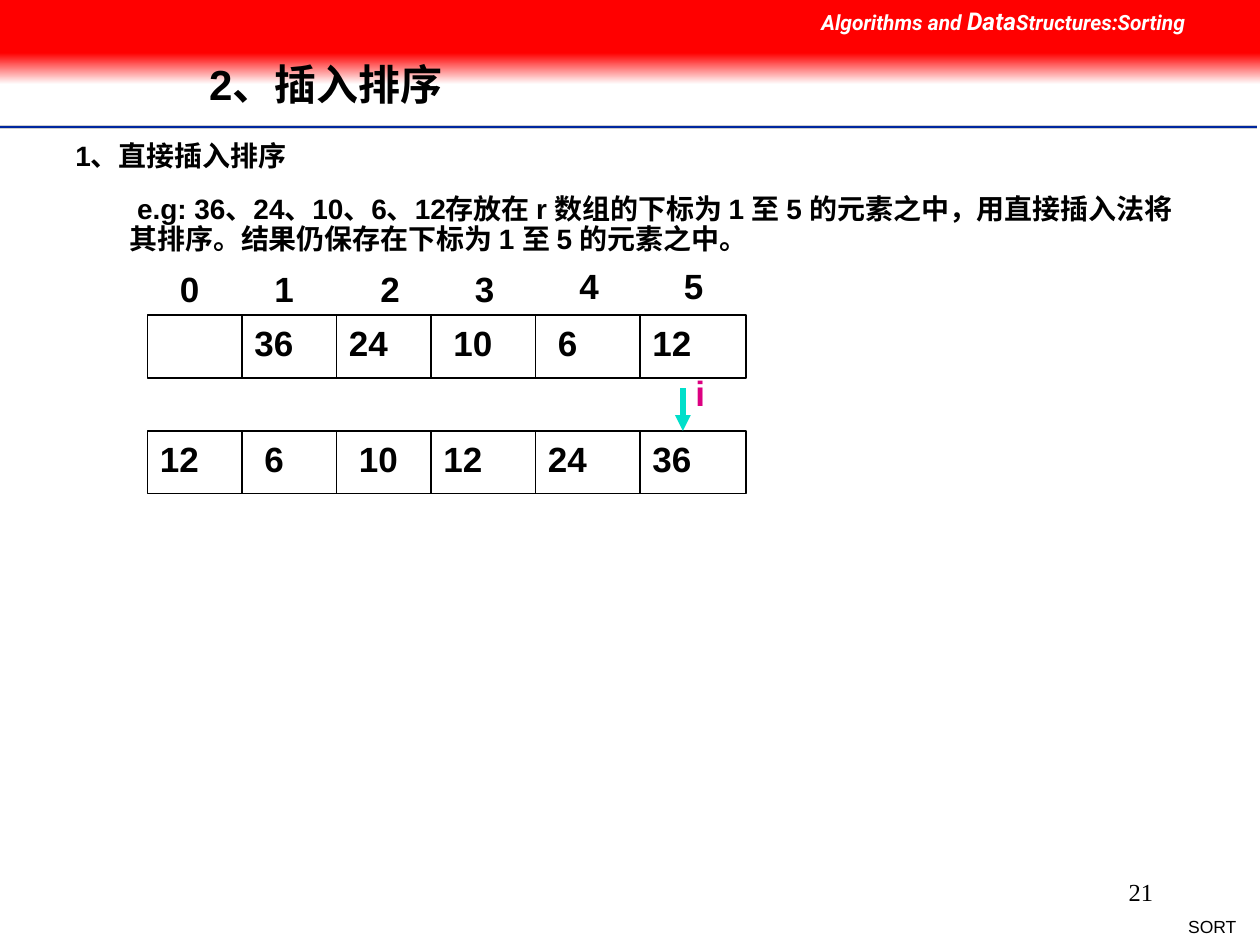
from lxml import etree
from pptx import Presentation
from pptx.dml.color import RGBColor
from pptx.enum.shapes import MSO_CONNECTOR, MSO_SHAPE
from pptx.enum.text import MSO_ANCHOR, MSO_AUTO_SIZE, PP_ALIGN
from pptx.oxml.ns import qn
from pptx.util import Inches, Pt

LINE = MSO_CONNECTOR.STRAIGHT
RECT = MSO_SHAPE.RECTANGLE
MIDDLE = MSO_ANCHOR.MIDDLE
FIXED = MSO_AUTO_SIZE.NONE
LEFT, RIGHT = PP_ALIGN.LEFT, PP_ALIGN.RIGHT

COLORS = {
    "black": "000000",
    "white": "FFFFFF",
    "red": "FF0000",
    "gray": "CECECE",
    "blue": "00279F",
    "teal": "00DFCA",
    "pink": "DC0081",
}


def color(name):
    return RGBColor.from_string(COLORS[name])


class Deck:
    font = "Arial"

    def __init__(self):
        self.file = Presentation()
        self.file.slide_width = Inches(10)
        self.file.slide_height = Inches(7.5)
        self.slide = self.file.slides.add_slide(self.file.slide_layouts[5])
        self.shapes = self.slide.shapes

    def style(self, run, size, ink="black", bold=True, italic=False, font=None):
        run.font.size = Pt(size)
        run.font.name = font or self.font
        run.font.bold = bold
        run.font.italic = italic
        run.font.color.rgb = color(ink)

    def title(self, text, x, y, w, h, size):
        shape = self.shapes.title
        self.shapes.element.append(shape.element)
        shape.left, shape.top = Inches(x), Inches(y)
        shape.width, shape.height = Inches(w), Inches(h)
        frame = shape.text_frame
        frame.text = text
        frame.auto_size = FIXED
        frame.vertical_anchor = MIDDLE
        para = frame.paragraphs[0]
        para.alignment = LEFT
        para.line_spacing = 0.9
        self.style(para.runs[0], size)

    def text(self, parts, x, y, w, h, size, align=LEFT, wrap=True,
             margin=0, indent=0, spacing=None, **look):
        box = self.shapes.add_textbox(Inches(x), Inches(y), Inches(w), Inches(h))
        frame = box.text_frame
        frame.word_wrap = wrap
        para = frame.paragraphs[0]
        para.alignment = align
        para.line_spacing = spacing
        if margin:
            props = para._p.get_or_add_pPr()
            props.set("marL", str(Inches(margin)))
            props.set("indent", str(Inches(indent)))
        for part in [parts] if isinstance(parts, str) else parts:
            run = para.add_run()
            run.text = part
            self.style(run, size, **look)
        return box

    def rect(self, x, y, w, h, fill, edge=None, fade=None):
        shape = self.shapes.add_shape(RECT, Inches(x), Inches(y), Inches(w), Inches(h))
        shape.shadow.inherit = False
        if fade:
            shape.fill.gradient()
            shape.fill.gradient_angle = 270
            for stop, name in zip(shape.fill.gradient_stops, (fill, fade)):
                stop.color.rgb = color(name)
        else:
            shape.fill.solid()
            shape.fill.fore_color.rgb = color(fill)
        if edge:
            shape.line.color.rgb = color(edge)
            shape.line.width = Pt(0.75)
        else:
            shape.line.fill.background()

    def line(self, x1, y1, x2, y2, ink="black", width=0.75, arrow=False):
        link = self.shapes.add_connector(
            LINE, Inches(x1), Inches(y1), Inches(x2), Inches(y2))
        link.line.color.rgb = color(ink)
        link.line.width = Pt(width)
        if arrow:
            etree.SubElement(link.line._get_or_add_ln(), qn("a:tailEnd"), type="triangle")
        etree.SubElement(link.element.spPr, qn("a:effectLst"))

    def cells(self, edges, y, values, shifts):
        self.rect(edges[0], y, 4.75, 0.5, "white", "black")
        for x in edges[1:]:
            self.line(x, y, x, y + 0.5)
        for x, value, shift in zip(edges, values, shifts):
            if value:
                self.text(value, x + shift, y, 0.67, 0.44, 20)


def main():
    deck = Deck()
    for y, ink, width in ((1.01, "gray", 2), (1.01, "blue", 1), (1.03, "white", 1)):
        deck.line(0, y, 9.98, y, ink, width)
    deck.text("SORT", 9.32, 7.22, 0.59, 0.27, 10, RIGHT, False, bold=False)
    deck.rect(0, 0.42, 10, 0.25, "red", fade="white")
    deck.rect(0, 0, 10, 0.42, "red")
    head = deck.text(("Algorithms and ", "Data", "Structures:Sorting"),
                     6.42, 0, 3.58, 0.34, 12, ink="white", italic=True, font="Roboto")
    head.text_frame.paragraphs[0].runs[1].font.size = Pt(14)
    page = deck.text("21", 7.17, 6.83, 2.08, 0.5, 14, RIGHT,
                     bold=False, font="Times New Roman")
    page.text_frame.vertical_anchor = MIDDLE

    deck.title("2、插入排序", 1.56, 0.32, 7.55, 0.74, 24)
    task = deck.text(
        ("e.g: 36、24、10、6、12存放在 r 数组的下标为 1 至 5 的元素之中，用直接插入法将",
         " ", "其排序。结果仍保存在下标为 1 至 5 的元素之中。"),
        0, 1.5, 9.7, 0.58, 16, margin=0.93, indent=0.06, spacing=0.9)
    gap = task.text_frame.paragraphs[0].runs[1]
    gap.font._element.set("spc", "5000")
    deck.text("1、直接插入排序", 0, 1.05, 2.75, 0.37, 16, margin=0.5)

    edges = (1.17, 1.92, 2.67, 3.42, 4.25, 5.08)
    for i, x in enumerate(edges):
        deck.text(str(i), x + (0.16 if i < 2 else 0.25),
                  2.07 if i < 4 else 2.05, 0.33, 0.44, 20)
    deck.cells(edges, 2.5, ("", "36", "24", "10", "6", "12"),
               (0, 0, 0, 0.08, 0.08, 0))
    deck.cells(edges, 3.42, ("12", "6", "10", "12", "24", "36"),
               (0, 0.08, 0.08, 0, 0, 0))
    deck.line(5.42, 3.08, 5.42, 3.42, "teal", 3, arrow=True)
    deck.text("i", 5.42, 2.9, 0.33, 0.44, 20, ink="pink")
    deck.file.save("out.pptx")


if __name__ == "__main__":
    main()
